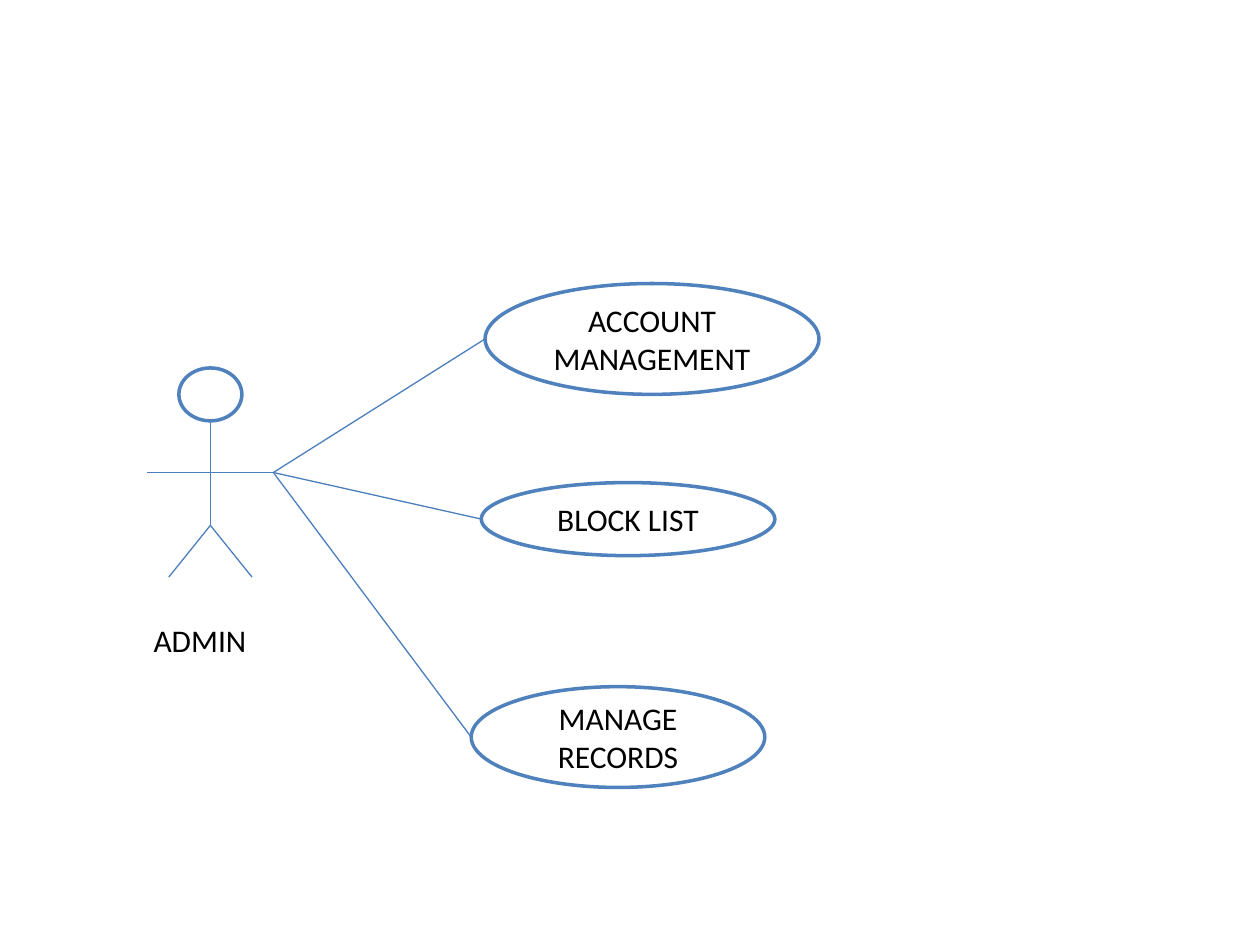
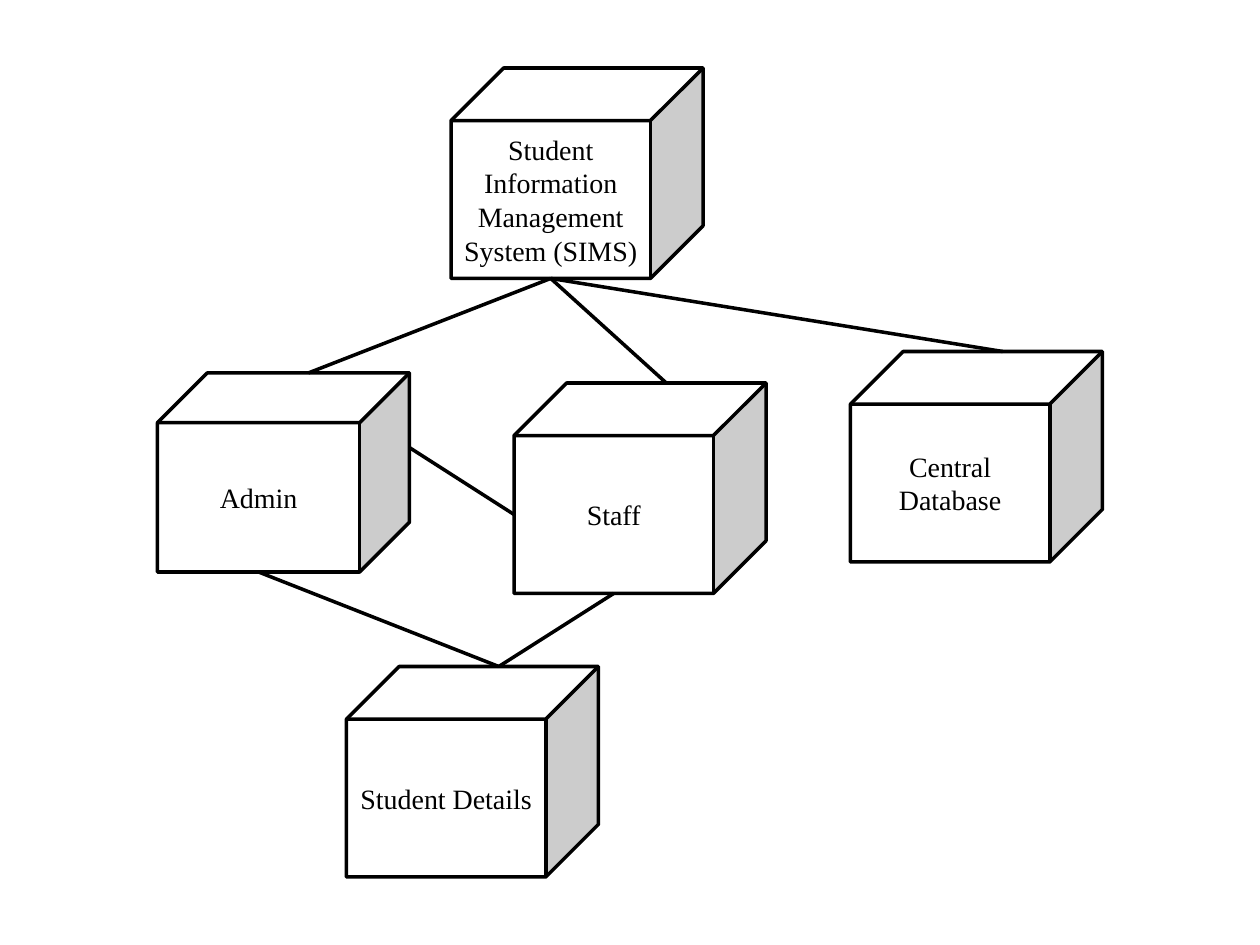
"""Build an admin use case diagram and a deployment diagram of a student system."""
from dataclasses import dataclass
from typing import Optional

import lxml.etree
import pptx
import pptx.dml.color
import pptx.enum.shapes
import pptx.enum.text
import pptx.oxml.ns
import pptx.util

Inches = pptx.util.Inches
RGBColor = pptx.dml.color.RGBColor
MSO_SHAPE = pptx.enum.shapes.MSO_SHAPE
Point = tuple[float, float]


@dataclass(frozen=True)
class Style:
    font: str
    size: float
    outline: RGBColor
    outline_width: float
    link: RGBColor
    link_width: float


@dataclass(frozen=True)
class Theme:
    paper: RGBColor
    ink: RGBColor
    use_case: Style
    deployment: Style


BLACK = RGBColor(0, 0, 0)
THEME = Theme(
    paper=RGBColor(0xFF, 0xFF, 0xFF),
    ink=BLACK,
    use_case=Style("Calibri", 18, RGBColor(0x4F, 0x81, 0xBD), 2,
                   RGBColor(0x4B, 0x7E, 0xBC), 0.75),
    deployment=Style("Times New Roman", 16, BLACK, 2, BLACK, 2),
)


@dataclass(frozen=True)
class Box:
    left: float
    top: float
    width: float
    height: float
    label: str = ""

    @property
    def west(self) -> Point:
        return self.left, self.top + self.height / 2


@dataclass(frozen=True)
class Node(Box):
    """Cube whose anchors lie at the middle of its visible faces and edges."""

    @property
    def depth(self) -> float:
        return min(self.width, self.height) / 4

    @property
    def north(self) -> Point:
        return self.left + (self.width + self.depth) / 2, self.top

    @property
    def south(self) -> Point:
        return self.left + (self.width - self.depth) / 2, self.top + self.height

    @property
    def west(self) -> Point:
        return self.left, self.top + (self.height + self.depth) / 2

    @property
    def east(self) -> Point:
        return self.left + self.width, self.top + (self.height - self.depth) / 2


def write(frame, text: str, style: Style,
          alignment: Optional[pptx.enum.text.PP_ALIGN] = None) -> None:
    frame.word_wrap = True
    paragraph = frame.paragraphs[0]
    paragraph.alignment = alignment
    run = paragraph.add_run()
    run.text = text
    run.font.name = style.font
    run.font.size = pptx.util.Pt(style.size)
    run.font.color.rgb = THEME.ink


def draw_box(slide, box: Box, preset: MSO_SHAPE, style: Style) -> None:
    shape = slide.shapes.add_shape(preset, Inches(box.left), Inches(box.top),
                                   Inches(box.width), Inches(box.height))
    shape.shadow.inherit = False
    shape.fill.solid()
    shape.fill.fore_color.rgb = THEME.paper
    shape.line.color.rgb = style.outline
    shape.line.width = pptx.util.Pt(style.outline_width)
    if box.label:
        shape.text_frame.vertical_anchor = pptx.enum.text.MSO_ANCHOR.MIDDLE
        write(shape.text_frame, box.label, style, pptx.enum.text.PP_ALIGN.CENTER)


def draw_link(slide, start: Point, end: Point, style: Style) -> None:
    link = slide.shapes.add_connector(
        pptx.enum.shapes.MSO_CONNECTOR.STRAIGHT,
        *(Inches(value) for value in (*start, *end)))
    link.line.color.rgb = style.link
    link.line.width = pptx.util.Pt(style.link_width)
    lxml.etree.SubElement(link._element.spPr, pptx.oxml.ns.qn("a:effectLst"))


def draw_actor(slide, name: Box, style: Style) -> None:
    center, neck, shoulder, hip, foot = 1.67, 3.33, 3.75, 4.17, 4.58
    draw_box(slide, Box(center - 0.25, 2.92, 0.5, 0.42), MSO_SHAPE.OVAL, style)
    draw_link(slide, (center, neck), (center, hip), style)
    draw_link(slide, (center - 0.5, shoulder), (center + 0.5, shoulder), style)
    for side in (-1, 1):
        draw_link(slide, (center + side * 0.33, foot), (center, hip), style)
    caption = slide.shapes.add_textbox(Inches(name.left), Inches(name.top),
                                       Inches(name.width), Inches(name.height))
    write(caption.text_frame, name.label, style)
    caption.text_frame.auto_size = pptx.enum.text.MSO_AUTO_SIZE.SHAPE_TO_FIT_TEXT


def build_use_cases(slide) -> None:
    style = THEME.use_case
    hand = (2.17, 3.75)
    cases = (
        Box(3.85, 2.25, 2.65, 0.88, "ACCOUNT MANAGEMENT"),
        Box(3.82, 3.83, 2.33, 0.58, "BLOCK LIST"),
        Box(3.74, 5.45, 2.33, 0.8, "MANAGE RECORDS"),
    )
    draw_actor(slide, Box(1.12, 4.88, 1.42, 0.4, "ADMIN"), style)
    for case in cases:
        draw_box(slide, case, MSO_SHAPE.OVAL, style)
        draw_link(slide, hand, case.west, style)


def build_deployment(slide) -> None:
    style = THEME.deployment
    width, height = 2, 1.67
    system = Node(3.58, 0.54, width, height,
                  "Student Information Management System (SIMS)")
    admin = Node(1.25, 2.96, width, 1.58, "Admin")
    staff = Node(4.08, 3.04, width, height, "Staff")
    database = Node(6.75, 2.79, width, height, "Central Database")
    details = Node(2.75, 5.29, width, height, "Student Details")
    for node in (system, admin, staff, database, details):
        draw_box(slide, node, MSO_SHAPE.CUBE, style)
    for child in (admin, staff, database):
        draw_link(slide, system.south, child.north, style)
    draw_link(slide, staff.west, admin.east, style)
    for user in (staff, admin):
        draw_link(slide, user.south, details.north, style)


def main() -> None:
    deck = pptx.Presentation()
    deck.slide_width, deck.slide_height = Inches(10), Inches(7.5)
    for build in (build_use_cases, build_deployment):
        slide = deck.slides.add_slide(deck.slide_layouts[6])
        slide.background.fill.solid()
        slide.background.fill.fore_color.rgb = THEME.paper
        build(slide)
    deck.save("out.pptx")


main()
